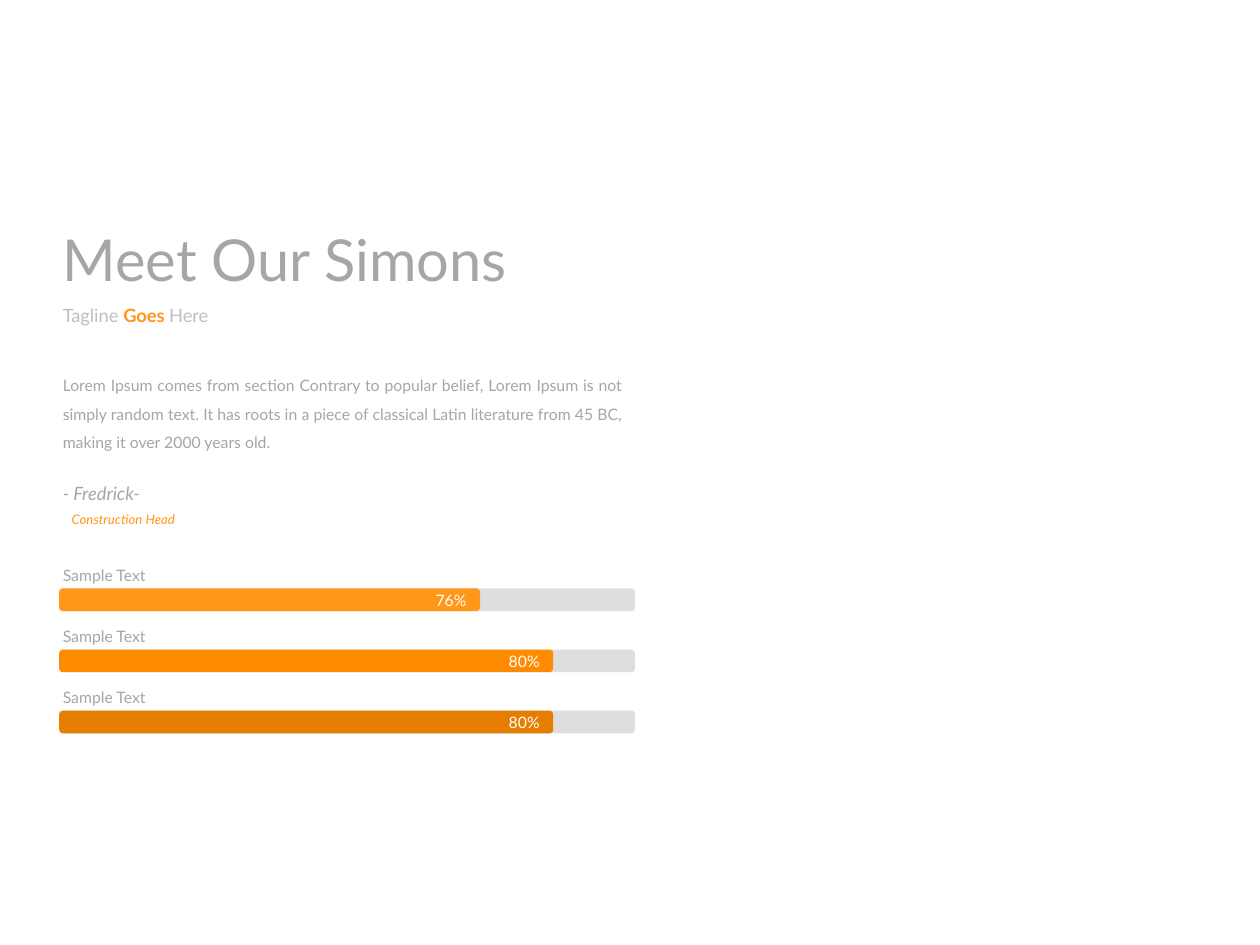
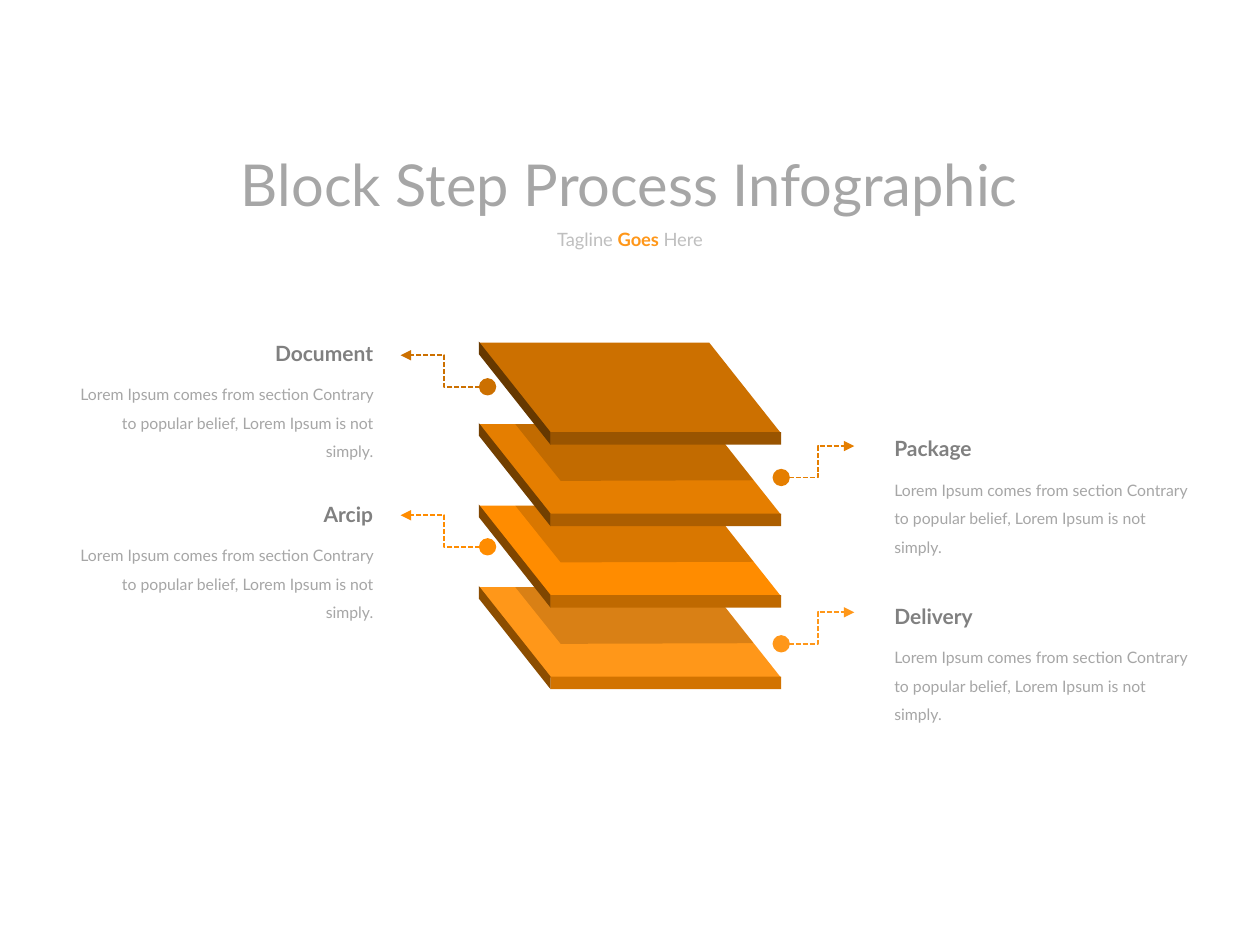
import pptx
import pptx.dml.color
import pptx.enum.dml
import pptx.enum.shapes
import pptx.enum.text
import pptx.oxml.ns
import pptx.util
from lxml import etree

Inches = pptx.util.Inches
RGBColor = pptx.dml.color.RGBColor
Align = pptx.enum.text.PP_ALIGN
Shape = pptx.enum.shapes.MSO_SHAPE
qn = pptx.oxml.ns.qn

GREY = RGBColor(0xA6, 0xA6, 0xA6)
PALE = RGBColor(0xBF, 0xBF, 0xBF)
DARK = RGBColor(0x80, 0x80, 0x80)
WHITE = RGBColor(0xFF, 0xFF, 0xFF)
BLACK = RGBColor(0x00, 0x00, 0x00)
AMBER = RGBColor(0xFF, 0x97, 0x19)
ORANGE = RGBColor(0xFF, 0x8C, 0x00)
RUST = RGBColor(0xE5, 0x7E, 0x00)
BROWN = RGBColor(0xCC, 0x70, 0x00)

LOREM = "Lorem Ipsum comes from section Contrary to popular belief, Lorem Ipsum is not "


class Deck:
    face = "Lato"

    def __init__(self):
        self.file = pptx.Presentation()
        self.file.slide_width = Inches(10)
        self.file.slide_height = Inches(7.5)

    def page(self):
        self.slide = self.file.slides.add_slide(self.file.slide_layouts[6])
        self.zone = self.slide.shapes

    def group(self):
        self.zone = self.slide.shapes.add_group_shape().shapes

    def ungroup(self):
        self.zone = self.slide.shapes

    def style(self, para, size, color, align=Align.LEFT, bold=False, italic=False):
        para.alignment = align
        font = para.font
        font.name = self.face
        font.size = pptx.util.Pt(size)
        font.color.rgb = color
        font.bold = bold
        font.italic = italic

    def text(self, words, left, top, width, height, size, color, wrap=False, **look):
        box = self.zone.add_textbox(*map(Inches, (left, top, width, height)))
        frame = box.text_frame
        frame.word_wrap = wrap
        frame.auto_size = pptx.enum.text.MSO_AUTO_SIZE.SHAPE_TO_FIT_TEXT
        para = frame.paragraphs[0]
        para.text = words
        self.style(para, size, color, **look)
        return para

    def body(self, words, left, top, width, align):
        para = self.text(words, left, top, width, 0.78, 9, GREY, True, align=align)
        para.line_spacing = 1.5

    def title(self, words, left, top, width, tag, align):
        self.text(words, left, top, width, 0.66, 33, GREY, align=align)
        para = self.text("Tagline ", tag, top + 0.635, 1.4, 0.28, 10.5, PALE, align=align)
        accent = para.add_run()
        accent.text = "Goes "
        accent.font.bold = True
        accent.font.color.rgb = AMBER
        para.add_run().text = "Here"

    def paint(self, shape, color, alpha):
        shape.shadow.inherit = False
        shape.fill.solid()
        shape.fill.fore_color.rgb = color
        shape.line.fill.background()
        if alpha < 100:
            tint = shape._element.spPr.find(".//" + qn("a:srgbClr"))
            etree.SubElement(tint, qn("a:alpha"), val=str(alpha * 1000))
        return shape

    def block(self, kind, left, top, width, height, color, alpha=100):
        shape = self.zone.add_shape(kind, *map(Inches, (left, top, width, height)))
        return self.paint(shape, color, alpha)

    def outline(self, points, color, alpha=100):
        spots = [(Inches(x), Inches(y)) for x, y in points]
        pen = self.zone.build_freeform(*spots[0])
        pen.add_line_segments(spots[1:], close=True)
        return self.paint(pen.convert_to_shape(), color, alpha)

    def bar(self, top, width, value, color):
        left, height = 0.47, 0.18
        self.block(Shape.ROUNDED_RECTANGLE, left, top, 4.57, height, PALE, 50)
        bar = self.block(Shape.ROUNDED_RECTANGLE, left, top, width, height, color)
        frame = bar.text_frame
        frame.word_wrap = False
        frame.vertical_anchor = pptx.enum.text.MSO_ANCHOR.MIDDLE
        frame.margin_left = frame.margin_right = Inches(0.1)
        frame.margin_top = frame.margin_bottom = Inches(0.1)
        para = frame.paragraphs[0]
        para.text = value
        self.style(para, 9, WHITE, Align.RIGHT)
        self.text("Sample Text", 0.4, top - 0.23, 0.89, 0.25, 9, GREY)

    def layer(self, top, face, side, edge, shade):
        self.group()
        rim = top + 0.01
        self.outline([(4.37, rim + 0.72), (6.2, rim + 0.72), (5.63, rim), (3.8, rim)], face)
        self.outline([(3.8, top), (3.8, top + 0.1), (4.37, top + 0.82), (4.37, top + 0.72)], side)
        self.block(Shape.RECTANGLE, 4.37, top + 0.72, 1.83, 0.1, edge)
        if shade:
            self.outline([(4.45, rim + 0.45), (5.98, rim + 0.445), (5.63, rim), (4.09, rim)], BLACK, 15)
        self.ungroup()

    def arrow(self, start, end, top, color):
        spots = map(Inches, (start, top + 0.25, end, top))
        arrow = self.zone.add_connector(pptx.enum.shapes.MSO_CONNECTOR.ELBOW, *spots)
        line = arrow.line
        line.color.rgb = color
        line.width = pptx.util.Pt(1)
        line.dash_style = pptx.enum.dml.MSO_LINE.SQUARE_DOT
        props = arrow._element.spPr
        stroke = props.find(qn("a:ln"))
        etree.SubElement(stroke, qn("a:headEnd"), type="oval", w="lg", len="lg")
        etree.SubElement(stroke, qn("a:tailEnd"), type="triangle")
        etree.SubElement(props, qn("a:effectLst"))

    def step(self, name, top, width, tip, color, right):
        if right:
            self.arrow(6.2, 6.78, tip, color)
            left, start, align = 7, 7, Align.LEFT
        else:
            self.arrow(3.87, 3.18, tip, color)
            left, start, align = 0.49, 3.06 - width, Align.RIGHT
        self.body(LOREM + "simply.", left, top + 0.28, 2.57, align)
        self.text(name, start, top, width, 0.3, 12, DARK, align=align, bold=True)


def meet(deck):
    deck.page()
    deck.title("Meet Our Simons", 0.4, 1.73, 3.76, 0.4, Align.LEFT)
    story = (
        "simply random text. It has roots in a piece of classical Latin literature "
        "from 45 BC, making it over 2000 years old."
    )
    deck.body(LOREM + story, 0.4, 2.86, 4.63, Align.JUSTIFY)
    deck.text("- Fredrick-", 0.4, 3.78, 0.84, 0.28, 10.5, GREY, italic=True)
    deck.text("Construction Head", 0.47, 4.01, 1.03, 0.23, 7.5, AMBER, italic=True)
    bars = [(3.34, "76%", AMBER), (3.92, "80%", ORANGE), (3.92, "80%", RUST)]
    for row, (width, value, color) in enumerate(bars):
        deck.bar(4.67 + row * 0.485, width, value, color)


def stack(deck):
    deck.page()
    deck.title("Block Step Process Infographic", 1.67, 1.13, 6.65, 4.3, Align.CENTER)
    layers = [
        (AMBER, RGBColor(0x8C, 0x4D, 0x00), RGBColor(0xD2, 0x73, 0x00)),
        (ORANGE, RGBColor(0x80, 0x46, 0x00), RGBColor(0xBF, 0x69, 0x00)),
        (RUST, RGBColor(0x72, 0x3F, 0x00), RGBColor(0xAC, 0x5E, 0x00)),
        (BROWN, RGBColor(0x66, 0x38, 0x00), RGBColor(0x99, 0x54, 0x00)),
    ]
    for level, colors in enumerate(layers):
        deck.layer(4.65 - level * 1.94 / 3, *colors, shade=level < 3)
    steps = [
        ("Document", 2.65, 0.99, 2.82, BROWN, False),
        ("Arcip", 3.93, 0.6, 4.09, ORANGE, False),
        ("Package", 3.41, 0.83, 3.54, RUST, True),
        ("Delivery", 4.74, 0.83, 4.86, AMBER, True),
    ]
    for step in steps:
        deck.step(*step)


def main():
    deck = Deck()
    meet(deck)
    stack(deck)
    deck.file.save("out.pptx")


if __name__ == "__main__":
    main()
